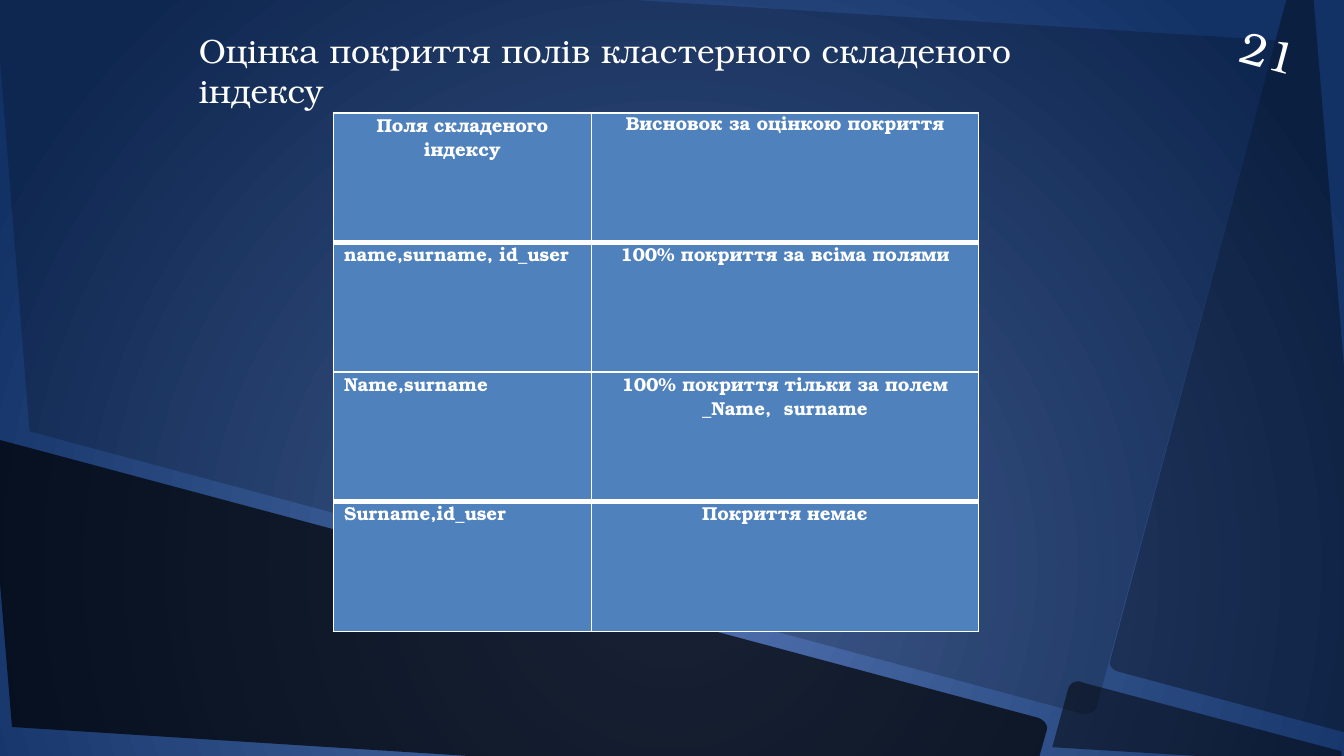
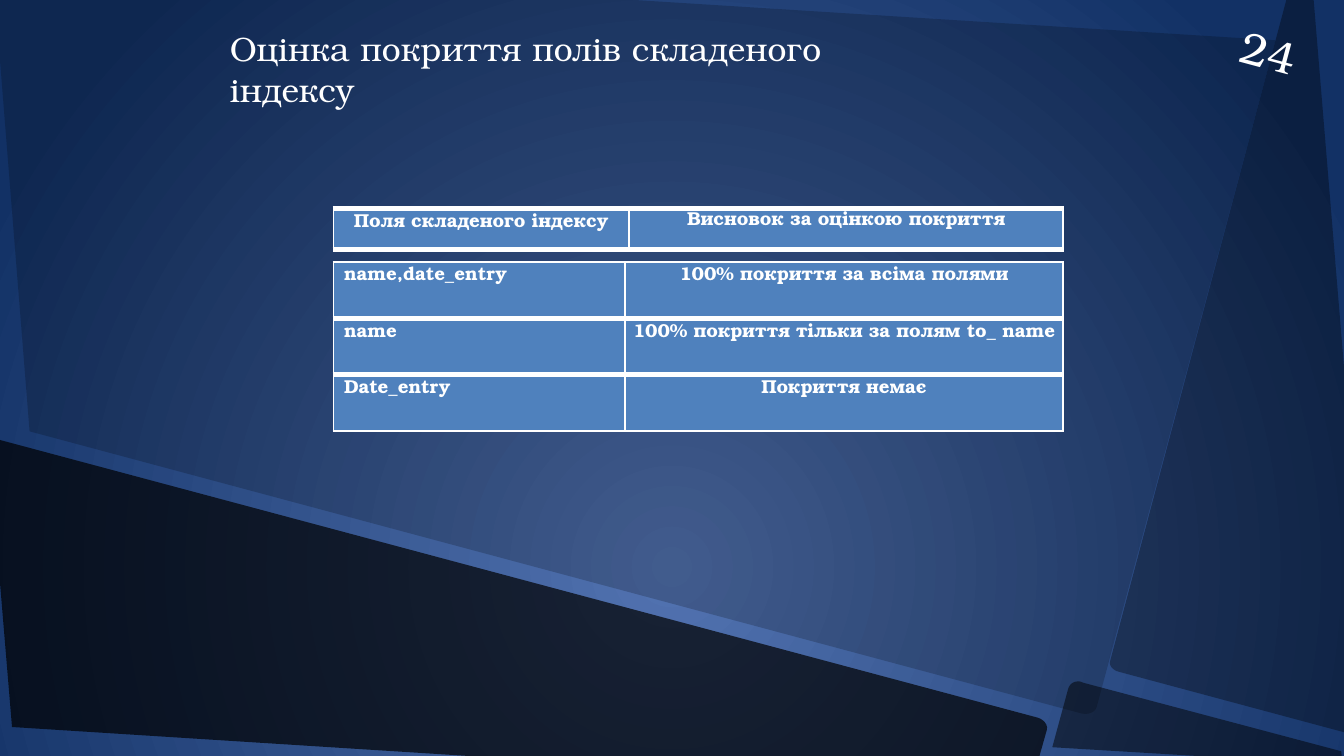
from dataclasses import dataclass

from lxml import etree
from pptx import Presentation
from pptx.dml.color import RGBColor as RGB
from pptx.enum.text import MSO_ANCHOR as ANCHOR, MSO_AUTO_SIZE as SIZING, PP_ALIGN as ALIGN
from pptx.oxml import parse_xml
from pptx.oxml.ns import nsdecls, qn
from pptx.util import Inches, Pt


@dataclass(frozen=True)
class Theme:
    font: str = "TeX Gyre Bonum"
    text: str = "FFFFFF"
    cell: str = "4F81BD"
    panel: str = "000000"
    glow: str = "5273B1"
    edge: str = "123165"
    title_pt: int = 18
    cell_pt: int = 10
    number_pt: int = 24
    thin: int = 1
    thick: int = 3


T = Theme()
WIDTH = 10
HEIGHT = WIDTH * 9 / 16
CURVE_STEPS = 6

# Content: thick lists the horizontal rules drawn heavy, counted from the top
HEADER = ("Поля складеного індексу", "Висновок за оцінкою покриття")
SLIDES = [
    {
        "title": ("Оцінка покриття полів кластерного складеного індексу", (1.38, 0.17, 6.58, 0.4)),
        "number": "21",
        "tables": [
            {"at": (2.48, 0.84), "cols": (1.92, 2.88), "height": 3.86, "thick": {1, 3},
             "rows": [HEADER,
                      ("name,surname, id_user", "100% покриття за всіма полями"),
                      ("Name,surname", "100% покриття тільки за полем _Name,  surname"),
                      ("Surname,id_user", "Покриття немає")]},
        ],
    },
    {
        "title": ("Оцінка покриття полів складеного індексу", (1.61, 0.16, 5.14, 0.4)),
        "number": "24",
        "tables": [
            {"at": (2.48, 1.95), "cols": (2.17, 3.26), "height": 1.26, "thick": {1, 2},
             "rows": [("name,date_entry", "100% покриття за всіма полями"),
                      ("name", "100% покриття тільки за полям to_ name"),
                      ("Date_entry", "Покриття немає")]},
            {"at": (2.48, 1.55), "cols": (2.2, 3.23), "height": 0.31, "thick": {0, 1},
             "rows": [HEADER]},
        ],
    },
]

# Background panels: opacity in percent, then points (2 values) and curves (6 values)
PANELS = [
    (20, [(-0.06, -0.3), (9.49, 0.3), (8.16, 5.26),
          (8.15, 5.3, 8.1, 5.32, 8.05, 5.31), (0.22, 3.21)]),
    (70, [(-0.09, 3.25), (7.72, 5.34), (7.76, 5.35, 7.8, 5.39, 7.79, 5.43),
          (7.66, 5.89), (0.09, 5.41)]),
    (50, [(8.02, 5.07), (8.03, 5.07, 8.04, 5.07, 8.06, 5.08), (9.98, 5.59), (9.99, 5.69),
          (7.83, 5.56), (7.95, 5.12), (7.96, 5.09, 7.99, 5.07, 8.02, 5.07)]),
    (35, [(9.59, -0.07), (9.77, -0.06), (10.23, 5.51), (8.33, 5),
          (8.28, 4.99, 8.25, 4.95, 8.26, 4.92)]),
]


def apply(obj, **values):
    for name, value in values.items():
        setattr(obj, name, value)


def write(tf, text, size, bold=False, **para):
    p = tf.paragraphs[0]
    apply(p, **para)
    r = p.add_run()
    r.text = text
    apply(r.font, name=T.font, size=Pt(size), bold=bold)
    r.font.color.rgb = RGB.from_string(T.text)


def place(sp, left, top, width, height):
    apply(sp, left=Inches(left), top=Inches(top), width=Inches(width), height=Inches(height))


# Shared backdrop
def outline(steps):
    points = [steps[0]]
    for step in steps[1:]:
        if len(step) == 2:
            points.append(step)
            continue
        ctrl = [points[-1], step[:2], step[2:4], step[4:]]
        for i in range(1, CURVE_STEPS + 1):
            t = i / CURVE_STEPS
            weights = ((1 - t) ** 3, 3 * t * (1 - t) ** 2, 3 * t * t * (1 - t), t ** 3)
            points.append(tuple(sum(w * c[axis] for w, c in zip(weights, ctrl))
                                for axis in (0, 1)))
    return [(Inches(x), Inches(y)) for x, y in points]


def add_background(master):
    c_sld = master.element.find(qn("p:cSld"))
    for old in c_sld.findall(qn("p:bg")):
        c_sld.remove(old)
    c_sld.insert(0, parse_xml(
        f'<p:bg {nsdecls("p", "a")}><p:bgPr><a:gradFill rotWithShape="1"><a:gsLst>'
        f'<a:gs pos="0"><a:srgbClr val="{T.glow}"/></a:gs>'
        f'<a:gs pos="100000"><a:srgbClr val="{T.edge}"/></a:gs></a:gsLst>'
        '<a:path path="circle"><a:fillToRect l="50000" t="50000" r="50000" b="0"/></a:path>'
        '</a:gradFill><a:effectLst/></p:bgPr></p:bg>'))


def add_panels(master, slide):
    """Draw the panels on a slide, then move them behind everything on the master."""
    for i, (opacity, steps) in enumerate(PANELS):
        start, *rest = outline(steps)
        builder = slide.shapes.build_freeform(*start)
        builder.add_line_segments(rest, close=True)
        sp = builder.convert_to_shape()
        sp.name = f"Panel {i + 1}"
        sp.shadow.inherit = False
        sp.line.fill.background()
        sp.fill.solid()
        sp.fill.fore_color.rgb = RGB.from_string(T.panel)
        color = next(sp.element.iter(qn("a:srgbClr")))
        etree.SubElement(color, qn("a:alpha")).set("val", str(opacity * 1000))
        next(sp.element.iter(qn("p:cNvPr"))).set("id", str(20 + i))
        master.shapes.element.insert(2 + i, sp.element)


# Slide parts
def add_title(slide, text, box):
    sp = slide.shapes.title
    place(sp, *box)
    apply(sp.text_frame, word_wrap=True, auto_size=SIZING.SHAPE_TO_FIT_TEXT,
          vertical_anchor=ANCHOR.TOP)
    write(sp.text_frame, text, T.title_pt, alignment=ALIGN.LEFT)


def add_number(slide, text):
    sp = slide.shapes.add_textbox(0, 0, 0, 0)
    place(sp, 9.05, 0.23, 0.78, 0.3)
    sp.rotation = 15
    inset = Inches(0.1)
    apply(sp.text_frame, word_wrap=True, vertical_anchor=ANCHOR.MIDDLE, margin_left=inset,
          margin_right=inset, margin_top=inset, margin_bottom=inset)
    write(sp.text_frame, text, T.number_pt, alignment=ALIGN.CENTER)


def set_borders(cell, **widths):
    tc_pr = cell._tc.get_or_add_tcPr()
    for i, side in enumerate("LRTB"):
        tc_pr.insert(i, parse_xml(
            f'<a:ln{side} {nsdecls("a")} w="{Pt(widths.get(side, T.thin))}"><a:solidFill>'
            f'<a:srgbClr val="{T.text}"/></a:solidFill></a:ln{side}>'))


def indent(cell, **margins):
    p_pr = cell.text_frame.paragraphs[0]._p.get_or_add_pPr()
    for name, inches in margins.items():
        p_pr.set(name, str(Inches(inches)))


def add_grid(slide, at, cols, height, thick, rows):
    frame = slide.shapes.add_table(len(rows), len(cols), *map(Inches, at),
                                   Inches(sum(cols)), Inches(height))
    table = frame.table
    apply(table, first_row=False, horz_banding=False)
    for col, width in zip(table.columns, cols):
        col.width = Inches(width)
    for i, row in enumerate(rows):
        table.rows[i].height = Inches(height / len(rows))
        rules = {side: T.thick if edge in thick else T.thin
                 for side, edge in (("T", i), ("B", i + 1))}
        heading = row is HEADER
        for j, text in enumerate(row):
            cell = table.cell(i, j)
            apply(cell, margin_left=0, margin_right=0, margin_top=0, margin_bottom=0)
            cell.fill.solid()
            cell.fill.fore_color.rgb = RGB.from_string(T.cell)
            set_borders(cell, **rules)
            spacing = (13.3, 12.4)[j] if heading else 13.1
            write(cell.text_frame, text, T.cell_pt, bold=True, line_spacing=Pt(spacing),
                  alignment=ALIGN.CENTER if heading or j else ALIGN.LEFT)
        first = table.cell(i, 0)
        if heading:
            indent(first, marL=0.14, marR=0.14)
        else:
            indent(first, marL=0.08)


def main():
    prs = Presentation()
    apply(prs, slide_width=Inches(WIDTH), slide_height=Inches(HEIGHT))
    master = prs.slide_master
    add_background(master)
    title_only = prs.slide_layouts[5]
    for i, content in enumerate(SLIDES):
        slide = prs.slides.add_slide(title_only)
        if i == 0:
            add_panels(master, slide)
        add_title(slide, *content["title"])
        for grid in content["tables"]:
            add_grid(slide, **grid)
        add_number(slide, content["number"])
    prs.save("out.pptx")


if __name__ == "__main__":
    main()
